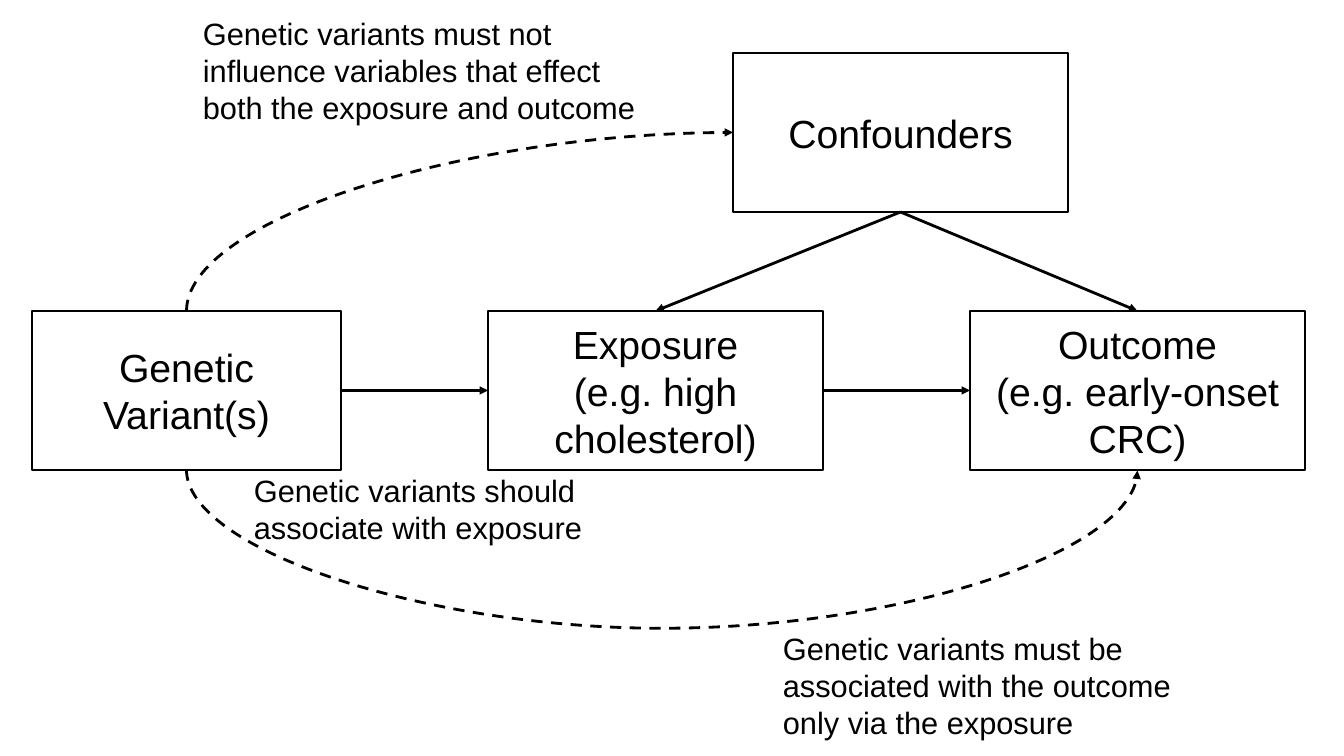
import dataclasses
import typing

import lxml.etree
import pptx
import pptx.dml.color
import pptx.enum.dml
import pptx.enum.shapes
import pptx.enum.text
import pptx.oxml.ns
import pptx.util

EMU_PER_PX = 914400 / 100.8
BLACK = "000000"
BOX_HEIGHT = 159
ROW_TOP = 311
TOP, LEFT, BOTTOM, RIGHT = range(4)


@dataclasses.dataclass(frozen=True)
class Box:
    name: str
    left: int
    top: int
    width: int
    lines: tuple[str, ...]


@dataclasses.dataclass(frozen=True)
class Note:
    left: int
    top: int
    width: int
    height: int
    text: str


@dataclasses.dataclass(frozen=True)
class Curve:
    preset: str
    rotation: int
    flips: tuple[str, ...]
    dip: int = 0


@dataclasses.dataclass(frozen=True)
class Arrow:
    source: str
    source_side: int
    target: str
    target_side: int
    curve: typing.Optional[Curve] = None


BOXES = (
    Box("genes", 32, ROW_TOP, 309, ("Genetic Variant(s)",)),
    Box("exposure", 488, ROW_TOP, 335, ("Exposure", "(e.g. high cholesterol)")),
    Box("outcome", 970, ROW_TOP, 335, ("Outcome", "(e.g. early-onset CRC)")),
    Box("confounders", 733, 53, 335, ("Confounders",)),
)
ARROWS = (
    Arrow("confounders", BOTTOM, "exposure", TOP),
    Arrow("confounders", BOTTOM, "outcome", TOP),
    Arrow("genes", RIGHT, "exposure", LEFT),
    Arrow("exposure", RIGHT, "outcome", LEFT),
    Arrow("genes", TOP, "confounders", LEFT,
          Curve("curvedConnector2", 90, ("flipH", "flipV"))),
    Arrow("genes", BOTTOM, "outcome", BOTTOM,
          Curve("curvedConnector3", 270, ("flipH",), 160)),
)
NOTES = (
    Note(244, 467, 365, 85, "Genetic variants should associate with exposure"),
    Note(193, 10, 464, 122, "Genetic variants must not influence variables "
         "that effect both the exposure and outcome"),
    Note(773, 625, 461, 122, "Genetic variants must be associated with the "
         "outcome only via the exposure"),
)


def px(length: float) -> int:
    return round(length * EMU_PER_PX)


def color(value: str) -> pptx.dml.color.RGBColor:
    return pptx.dml.color.RGBColor.from_string(value)


def write(text_frame, lines: tuple[str, ...], size: int, alignment) -> None:
    text_frame.word_wrap = True
    font_values = {"name": "Arial", "size": pptx.util.Pt(size)}
    for index, line in enumerate(lines):
        paragraph = text_frame.add_paragraph() if index else text_frame.paragraphs[0]
        paragraph.alignment = alignment
        run = paragraph.add_run()
        run.text = line
        for key, value in font_values.items():
            setattr(run.font, key, value)
        run.font.color.rgb = color(BLACK)


def draw_box(slide, box: Box):
    shape = slide.shapes.add_shape(
        pptx.enum.shapes.MSO_SHAPE.RECTANGLE,
        px(box.left), px(box.top), px(box.width), px(BOX_HEIGHT))
    shape.shadow.inherit = False
    shape.fill.background()
    shape.line.color.rgb = color(BLACK)
    shape.line.width = pptx.util.Pt(1)
    shape.text_frame.vertical_anchor = pptx.enum.text.MSO_ANCHOR.MIDDLE
    write(shape.text_frame, box.lines, 28, pptx.enum.text.PP_ALIGN.CENTER)
    return shape


def bend(connector, curve: Curve) -> None:
    center_x = (connector.begin_x + connector.end_x) // 2
    center_y = (connector.begin_y + connector.end_y) // 2
    width = max(abs(connector.end_y - connector.begin_y), px(1))
    height = abs(connector.end_x - connector.begin_x)
    placement = {"left": center_x - width // 2, "top": center_y - height // 2,
                 "width": width, "height": height}
    for key, value in placement.items():
        setattr(connector, key, value)
    properties = connector.element.spPr
    transform = properties.find(pptx.oxml.ns.qn("a:xfrm"))
    for flip in ("flipH", "flipV"):
        transform.set(flip, "1" if flip in curve.flips else "0")
    transform.set("rot", str(curve.rotation * 60000))
    geometry = properties.find(pptx.oxml.ns.qn("a:prstGeom"))
    geometry.set("prst", curve.preset)
    if curve.dip:
        adjustments = geometry.find(pptx.oxml.ns.qn("a:avLst"))
        ratio = round(px(curve.dip) / width * 100000)
        lxml.etree.SubElement(adjustments, pptx.oxml.ns.qn("a:gd"),
                              name="adj1", fmla=f"val {ratio}")


def draw_arrow(slide, arrow: Arrow, shapes: dict) -> None:
    kinds = pptx.enum.shapes.MSO_CONNECTOR
    connector = slide.shapes.add_connector(
        kinds.CURVE if arrow.curve else kinds.STRAIGHT, 0, 0, 0, 0)
    connector.begin_connect(shapes[arrow.source], arrow.source_side)
    connector.end_connect(shapes[arrow.target], arrow.target_side)
    connector.line.color.rgb = color(BLACK)
    connector.line.width = pptx.util.Pt(2)
    if arrow.curve:
        connector.line.dash_style = pptx.enum.dml.MSO_LINE.DASH
        bend(connector, arrow.curve)
    properties = connector.element.spPr
    line = properties.find(pptx.oxml.ns.qn("a:ln"))
    lxml.etree.SubElement(line, pptx.oxml.ns.qn("a:tailEnd"), type="triangle")
    lxml.etree.SubElement(properties, pptx.oxml.ns.qn("a:effectLst"))


def draw_note(slide, note: Note) -> None:
    text_box = slide.shapes.add_textbox(
        px(note.left), px(note.top), px(note.width), px(note.height))
    text_box.text_frame.auto_size = pptx.enum.text.MSO_AUTO_SIZE.SHAPE_TO_FIT_TEXT
    write(text_box.text_frame, (note.text,), 22, pptx.enum.text.PP_ALIGN.LEFT)


def main() -> None:
    presentation = pptx.Presentation()
    presentation.slide_width = px(1344)
    presentation.slide_height = px(756)
    slide = presentation.slides.add_slide(presentation.slide_layouts[6])
    shapes = {box.name: draw_box(slide, box) for box in BOXES}
    for arrow in ARROWS:
        draw_arrow(slide, arrow, shapes)
    for note in NOTES:
        draw_note(slide, note)
    presentation.save("out.pptx")


if __name__ == "__main__":
    main()
